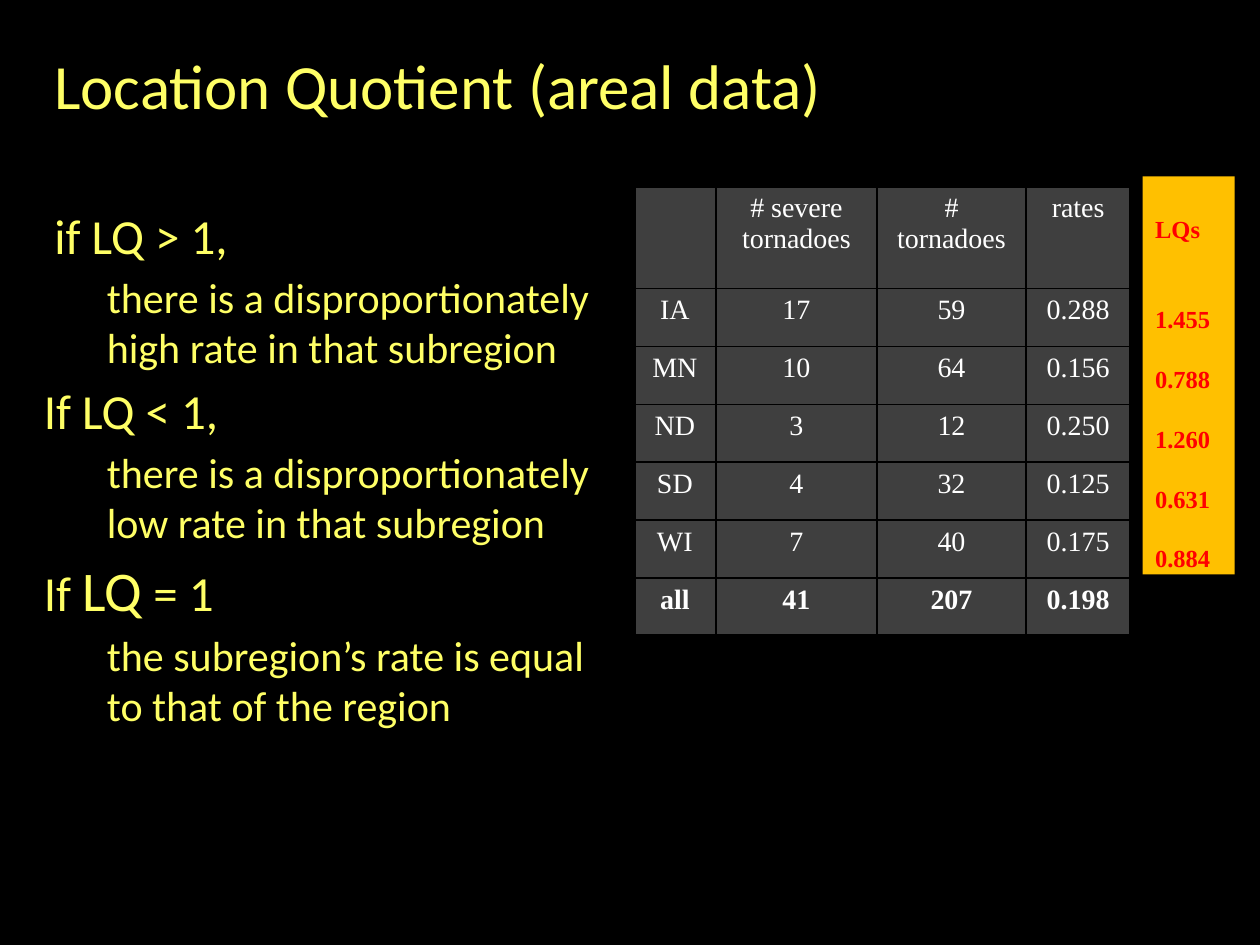
from dataclasses import dataclass

import lxml.etree
import pptx
import pptx.dml.color
import pptx.enum.shapes
import pptx.enum.text
import pptx.oxml.ns
import pptx.util

Pt = pptx.util.Pt
ALIGN = pptx.enum.text.PP_ALIGN

BLACK, YELLOW, WHITE = "000000", "FFFF66", "FFFFFF"
GREY, AMBER, RED = "3F3F3F", "FFC000", "FF0000"
SANS, SERIF = "Calibri", "Times New Roman"
THIN, THICK = 1, 2.25


@dataclass
class Run:
    text: str
    size: float


@dataclass
class Line:
    runs: list[Run]
    indent: float = 0
    space_before: float = 0


@dataclass
class Style:
    font: str
    color: str
    bold: bool = False
    alignment: ALIGN = ALIGN.LEFT


def condition(*runs: Run, indent: float = 0, space_before: float = 4.8) -> Line:
    return Line(list(runs), indent, space_before)


def meaning(text: str) -> Line:
    return Line([Run(text, 24)], indent=36, space_before=4)


RULES = [
    condition(Run("if LQ > 1,", 28), indent=6, space_before=0),
    meaning("there is a disproportionately high rate in that subregion"),
    condition(Run("If LQ < 1,", 28)),
    meaning("there is a disproportionately low rate in that subregion"),
    condition(Run("If ", 28), Run("LQ", 32), Run(" = 1", 28)),
    meaning("the subregion’s rate is equal to that of the region"),
]

TORNADOES = [
    ["", "# severe tornadoes", "# tornadoes", "rates"],
    ["IA", "17", "59", "0.288"],
    ["MN", "10", "64", "0.156"],
    ["ND", "3", "12", "0.250"],
    ["SD", "4", "32", "0.125"],
    ["WI", "7", "40", "0.175"],
    ["all", "41", "207", "0.198"],
]
COLUMN_WIDTHS = [46.8, 92.2, 85, 59.8]
HEADER_HEIGHT, ROW_HEIGHT = 58.3, 33.1

QUOTIENTS = ["1.455", "0.788", "1.260", "0.631", "0.884"]


def rgb(color: str) -> pptx.dml.color.RGBColor:
    return pptx.dml.color.RGBColor.from_string(color)


def fill_solid(fill, color: str) -> None:
    fill.solid()
    fill.fore_color.rgb = rgb(color)


def set_frame(text_frame, top: float = 3.6) -> None:
    values = {
        "word_wrap": True,
        "auto_size": pptx.enum.text.MSO_AUTO_SIZE.NONE,
        "vertical_anchor": pptx.enum.text.MSO_ANCHOR.TOP,
        "margin_left": Pt(7.2),
        "margin_right": Pt(7.2),
        "margin_top": Pt(top),
        "margin_bottom": Pt(3.6),
    }
    for name, value in values.items():
        setattr(text_frame, name, value)


def write_lines(text_frame, lines: list[Line], style: Style) -> None:
    for index, line in enumerate(lines):
        paragraph = text_frame.add_paragraph() if index else text_frame.paragraphs[0]
        paragraph.alignment = style.alignment
        paragraph.space_before = Pt(line.space_before)
        if line.indent:
            properties = paragraph._p.get_or_add_pPr()
            properties.set("marL", str(Pt(line.indent)))
            properties.set("indent", "0")
        for item in line.runs:
            run = paragraph.add_run()
            run.text = item.text
            values = {"name": style.font, "size": Pt(item.size), "bold": style.bold}
            for name, value in values.items():
                setattr(run.font, name, value)
            run.font.color.rgb = rgb(style.color)


def add_border(cell, side: str, width: float) -> None:
    qn = pptx.oxml.ns.qn
    properties = cell._tc.get_or_add_tcPr()
    border = lxml.etree.SubElement(properties, qn(f"a:ln{side}"), w=str(Pt(width)))
    fill = lxml.etree.SubElement(border, qn("a:solidFill"))
    lxml.etree.SubElement(fill, qn("a:srgbClr"), val=BLACK)


def add_title(slide) -> None:
    title = slide.shapes.title
    box = {"left": 23.8, "top": 23, "width": 457.2, "height": 51.1}
    for name, value in box.items():
        setattr(title, name, Pt(value))
    set_frame(title.text_frame)
    heading = Line([Run("Location Quotient (areal data)", 36)])
    write_lines(title.text_frame, [heading], Style(SANS, YELLOW))


def add_rules(slide) -> None:
    box = slide.shapes.add_textbox(Pt(18), Pt(113.8), Pt(336.2), Pt(347.8))
    set_frame(box.text_frame)
    write_lines(box.text_frame, RULES, Style(SANS, YELLOW))


def add_tornado_table(slide) -> None:
    last_row, last_column = len(TORNADOES) - 1, len(COLUMN_WIDTHS) - 1
    height = HEADER_HEIGHT + last_row * ROW_HEIGHT
    table = slide.shapes.add_table(
        last_row + 1, last_column + 1,
        Pt(362.2), Pt(106.6), Pt(sum(COLUMN_WIDTHS)), Pt(height),
    ).table
    for column, width in zip(table.columns, COLUMN_WIDTHS):
        column.width = Pt(width)
    for row_index, values in enumerate(TORNADOES):
        table.rows[row_index].height = Pt(ROW_HEIGHT if row_index else HEADER_HEIGHT)
        style = Style(SERIF, WHITE, row_index == last_row, ALIGN.CENTER)
        for column_index, value in enumerate(values):
            cell = table.cell(row_index, column_index)
            outer_sides = {
                "L": column_index == 0,
                "R": column_index == last_column,
                "T": row_index == 0,
                "B": row_index == last_row,
            }
            for side, is_outer in outer_sides.items():
                add_border(cell, side, THICK if is_outer else THIN)
            fill_solid(cell.fill, GREY)
            if value:
                write_lines(cell.text_frame, [Line([Run(value, 16)])], style)


def add_quotients(slide) -> None:
    shape = slide.shapes.add_shape(
        pptx.enum.shapes.MSO_SHAPE.RECTANGLE, Pt(653), Pt(100.8), Pt(52.6), Pt(227.5)
    )
    shape.shadow.inherit = False
    fill_solid(shape.fill, AMBER)
    shape.line.fill.background()
    set_frame(shape.text_frame, top=21.5)
    lines = [Line([Run("LQs", 14)])]
    for index, value in enumerate(QUOTIENTS):
        lines.append(Line([Run(value, 14)], space_before=17.4 if index else 34.7))
    write_lines(shape.text_frame, lines, Style(SERIF, RED, bold=True))


def main() -> None:
    presentation = pptx.Presentation()
    presentation.slide_width, presentation.slide_height = Pt(720), Pt(540)
    slide = presentation.slides.add_slide(presentation.slide_layouts[5])
    fill_solid(slide.background.fill, BLACK)
    add_title(slide)
    add_rules(slide)
    add_tornado_table(slide)
    add_quotients(slide)
    presentation.save("out.pptx")


if __name__ == "__main__":
    main()
